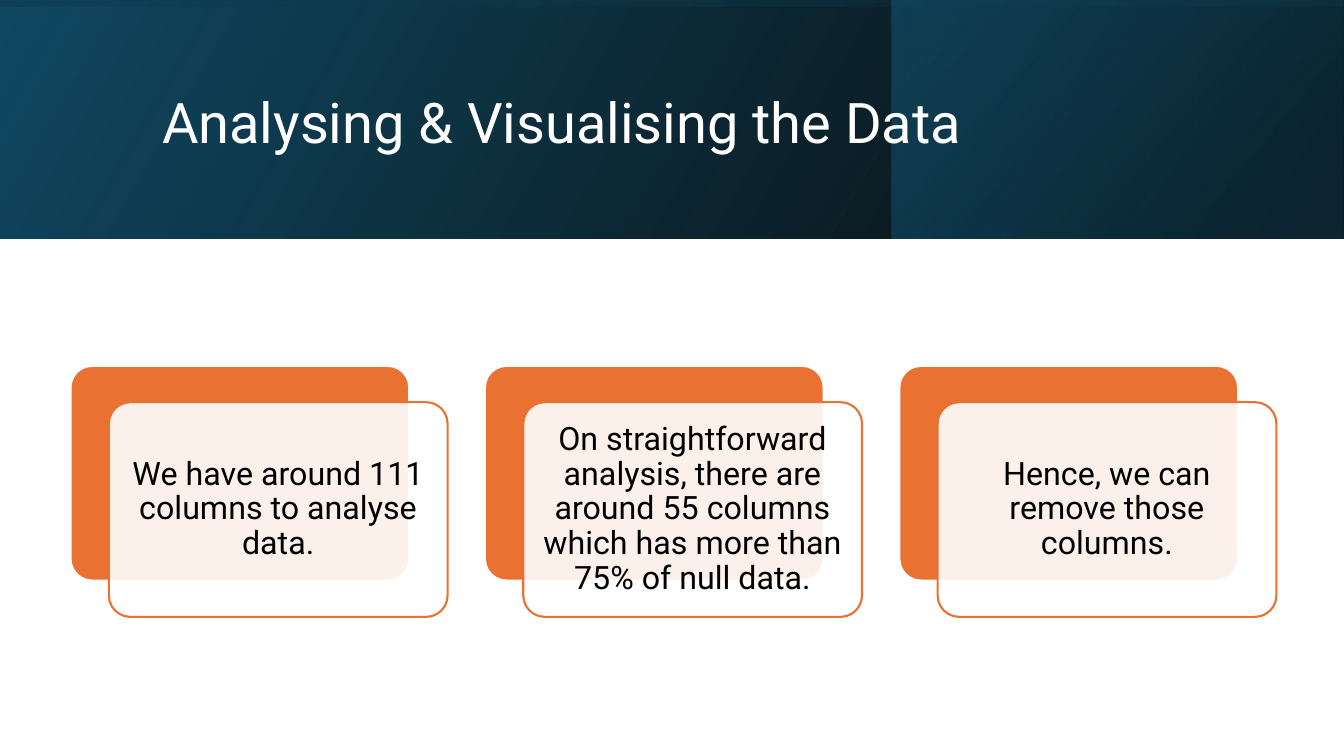
from lxml.etree import SubElement
from pptx import Presentation
from pptx.dml.color import RGBColor
from pptx.enum.shapes import MSO_SHAPE
from pptx.enum.text import MSO_ANCHOR, PP_ALIGN
from pptx.oxml.ns import qn
from pptx.util import Inches, Pt


def tint(code):
    """Turn a hex string into a colour."""
    return RGBColor.from_string(code)


def fade(shape, levels):
    """Set the opacity in percent of each fill colour in turn."""
    for node, level in zip(shape._element.spPr.iter(qn("a:srgbClr")), levels):
        SubElement(node, qn("a:alpha")).set("val", str(level * 1000))


class Deck:
    """Hold the style and the current slide."""

    font = "Roboto"
    accent = "E97132"
    white = "FFFFFF"
    black = "000000"

    def __init__(self, slide):
        """Keep the slide to draw on."""
        self.shapes = slide.shapes

    def shape(self, kind, box):
        """Add a preset shape without shadow."""
        shape = self.shapes.add_shape(kind, *map(Inches, box))
        shape.shadow.inherit = False
        return shape

    def band(self, box, stops, angle, turn=0):
        """Add a mirrored rectangle with a two-stop gradient."""
        band = self.shape(MSO_SHAPE.RECTANGLE, box)
        band.line.fill.background()
        band.fill.gradient()
        band.fill.gradient_angle = 360 - angle
        for stop, (place, code, level) in zip(band.fill.gradient_stops, stops):
            stop.position = place / 100
            stop.color.rgb = tint(code)
        fade(band, [level for place, code, level in stops])
        band.rotation = turn
        band._element.spPr.xfrm.set("flipH", "1")

    def card(self, box, fill, line, level=100):
        """Add a rounded card."""
        card = self.shape(MSO_SHAPE.ROUNDED_RECTANGLE, box)
        card.adjustments[0] = 0.1
        card.fill.solid()
        card.fill.fore_color.rgb = tint(fill)
        if level < 100:
            fade(card, [level])
        card.line.color.rgb = tint(line)
        card.line.width = Pt(1.5)

    def text(self, box, words, size, code, align, inset):
        """Add a wrapped text box centred in height."""
        frame = self.shapes.add_textbox(*map(Inches, box)).text_frame
        frame.word_wrap = True
        frame.vertical_anchor = MSO_ANCHOR.MIDDLE
        frame.margin_left = frame.margin_right = Inches(0.1)
        frame.margin_top = frame.margin_bottom = Inches(inset)
        frame.text = words
        line = frame.paragraphs[0]
        line.alignment = align
        line.line_spacing = 0.9
        font = line.runs[0].font
        font.name = self.font
        font.size = Pt(size)
        font.color.rgb = tint(code)


def main():
    """Build the slide and save it."""
    show = Presentation()
    show.slide_width, show.slide_height = Inches(13.33), Inches(7.5)
    deck = Deck(show.slides.add_slide(show.slide_layouts[6]))

    deck.band((0, 0, 13.33, 2.37),
              [(0, "000000", 96), (100, "104862", 100)], 330)
    deck.band((8.84, 0, 4.48, 2.37),
              [(19, "0B3041", 68), (100, "156082", 48)], 320)
    deck.band((5.48, -5.48, 2.37, 13.33),
              [(23, "104862", 16), (99, "000000", 45)], 350, 270)
    deck.text((1.51, 0.38, 10.63, 1.72), "Analysing & Visualising the Data",
              40, deck.white, PP_ALIGN.LEFT, 0.05)

    notes = [
        "We have around 111 columns to analyse data.",
        "On straightforward analysis, there are around 55 columns "
        "which has more than 75% of null data.",
        "Hence, we can remove those columns.",
    ]
    for step, note in enumerate(notes):
        left = 0.7 + 4.11 * step
        deck.card((left, 3.63, 3.36, 2.13), deck.accent, deck.white)
        deck.card((left + 0.38, 3.99, 3.36, 2.13), deck.white, deck.accent, 90)
        deck.text((left + 0.44, 4.05, 3.24, 2.01), note,
                  23, deck.black, PP_ALIGN.CENTER, 0.1)

    show.save("out.pptx")


if __name__ == "__main__":
    main()
